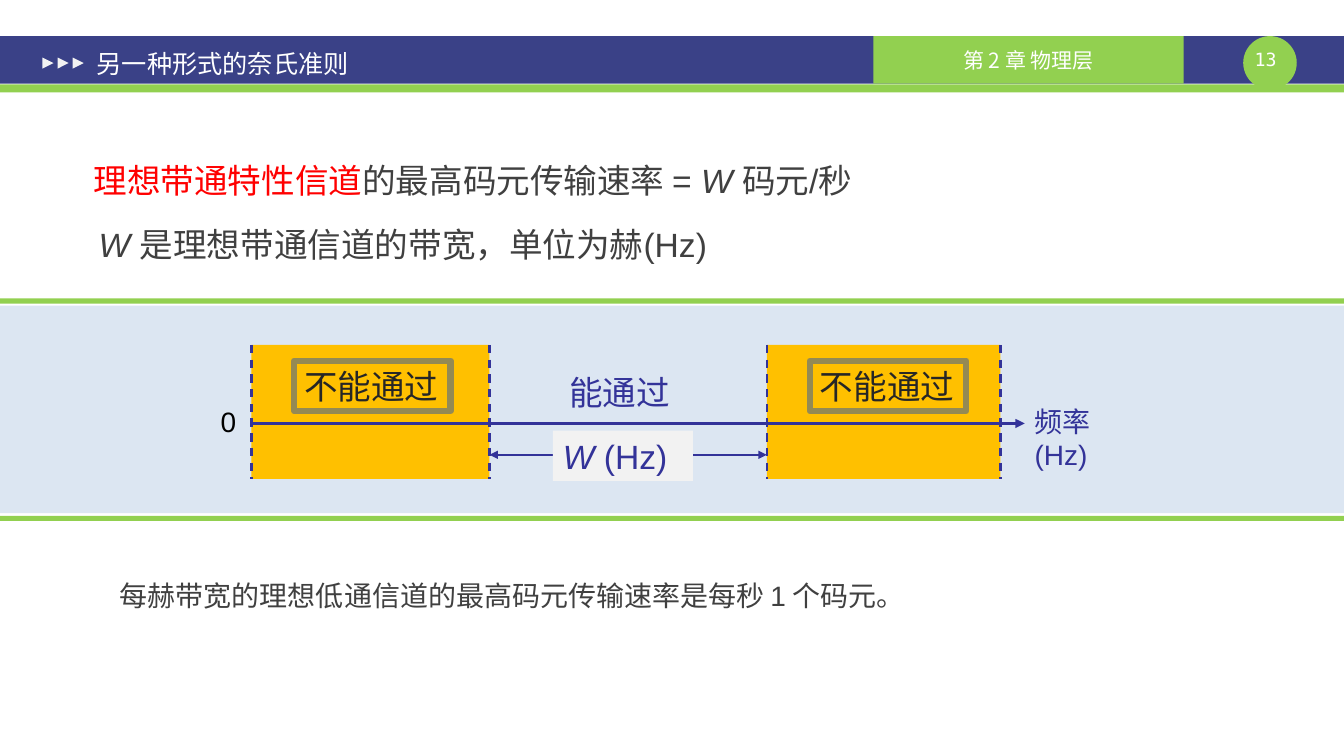
from dataclasses import dataclass
from typing import Optional

from lxml.etree import SubElement
from pptx import Presentation
from pptx.dml.color import RGBColor
from pptx.enum.dml import MSO_LINE
from pptx.enum.shapes import MSO_CONNECTOR, MSO_SHAPE
from pptx.enum.text import MSO_ANCHOR, MSO_AUTO_SIZE, PP_ALIGN
from pptx.oxml.ns import qn
from pptx.util import Cm, Pt

INDIGO, GREEN, WHITE, PALE_GREY = "3A4187", "92D050", "FFFFFF", "F2F2F2"
PALE_BLUE, ORANGE, NAVY, OLIVE = "DCE6F2", "FFC000", "333399", "948A54"
DARK, NEAR_BLACK, BLACK, RED = "404040", "262626", "000000", "FF0000"
EAST_ASIAN_FONT = "Noto Sans CJK SC"
SLIDE_WIDTH, SLIDE_HEIGHT = 33.88, 19.05


@dataclass
class Run:
    text: str
    color: str
    size: float = 24
    italic: bool = False
    font: str = "Arial"


@dataclass
class Box:
    """Lengths are in centimetres."""
    left: float
    top: float
    width: float
    height: float
    fill: Optional[str] = None
    outline: Optional[str] = None
    preset: MSO_SHAPE = MSO_SHAPE.RECTANGLE
    rotation: float = 0
    runs: tuple[Run, ...] = ()
    wrap: bool = False
    grow: bool = True
    anchor: MSO_ANCHOR = MSO_ANCHOR.TOP
    align: PP_ALIGN = PP_ALIGN.LEFT
    inset: tuple[float, float] = (0.25, 0.13)
    line_spacing: float = 1.0


@dataclass
class Line:
    start: tuple[float, float]
    end: tuple[float, float]
    weight: float = 1.5
    dashed: bool = False
    arrows: tuple[str, ...] = ()


def rgb(color: str) -> RGBColor:
    return RGBColor.from_string(color)


def set_attributes(target, values: dict) -> None:
    for name, value in values.items():
        setattr(target, name, value)


def write_text(frame, box: Box) -> None:
    across, down = map(Cm, box.inset)
    set_attributes(frame, {
        "word_wrap": box.wrap,
        "auto_size": MSO_AUTO_SIZE.SHAPE_TO_FIT_TEXT if box.grow else MSO_AUTO_SIZE.NONE,
        "vertical_anchor": box.anchor,
        "margin_left": across, "margin_right": across,
        "margin_top": down, "margin_bottom": down,
    })
    paragraph = frame.paragraphs[0]
    set_attributes(paragraph, {"alignment": box.align, "line_spacing": box.line_spacing})
    for part in box.runs:
        run = paragraph.add_run()
        run.text = part.text
        set_attributes(run.font, {"name": part.font, "size": Pt(part.size), "italic": part.italic})
        run.font.color.rgb = rgb(part.color)
        SubElement(run.font._element, qn("a:ea"), typeface=EAST_ASIAN_FONT)


def draw_box(slide, box: Box) -> None:
    frame = [Cm(length) for length in (box.left, box.top, box.width, box.height)]
    if box.fill or box.outline:
        shape = slide.shapes.add_shape(box.preset, *frame)
        set_attributes(shape, {"rotation": box.rotation})
        shape.shadow.inherit = False
        if box.fill:
            shape.fill.solid()
            shape.fill.fore_color.rgb = rgb(box.fill)
        else:
            shape.fill.background()
        if box.outline:
            shape.line.color.rgb = rgb(box.outline)
            shape.line.width = Pt(4.5)
        else:
            shape.line.fill.background()
    else:
        shape = slide.shapes.add_textbox(*frame)
    if box.runs:
        write_text(shape.text_frame, box)


def draw_line(slide, line: Line) -> None:
    connector = slide.shapes.add_connector(
        MSO_CONNECTOR.STRAIGHT, *map(Cm, line.start + line.end))
    SubElement(connector._element.spPr, qn("a:effectLst"))
    connector.line.color.rgb = rgb(NAVY)
    connector.line.width = Pt(line.weight)
    if line.dashed:
        connector.line.dash_style = MSO_LINE.DASH
    for end in line.arrows:
        SubElement(connector.line._get_or_add_ln(), qn(f"a:{end}"), type="triangle")


HEADER_TOP, HEADER_HEIGHT = 0.91, 1.2
HEADER = [
    Box(0, HEADER_TOP, SLIDE_WIDTH, HEADER_HEIGHT, INDIGO),
    Box(0, 2.13, SLIDE_WIDTH, 0.2, GREEN),
    Box(31.34, HEADER_TOP, 1.35, 1.35, GREEN, preset=MSO_SHAPE.OVAL),
    Box(31.23, 1.22, 1.35, 0.56, runs=(Run("13", WHITE, 13, font="DejaVu Sans Mono"),),
        wrap=True, align=PP_ALIGN.CENTER, inset=(0, 0)),
    Box(22.02, HEADER_TOP, 7.82, HEADER_HEIGHT, GREEN,
        runs=(Run("第 2 章 物理层", WHITE, 15, font=EAST_ASIAN_FONT),),
        wrap=True, grow=False, anchor=MSO_ANCHOR.MIDDLE, align=PP_ALIGN.CENTER, inset=(0.2, 0.1)),
    *(Box(1.07 + 0.38 * i, 1.45, 0.28, 0.28, PALE_GREY,
          preset=MSO_SHAPE.ISOSCELES_TRIANGLE, rotation=90) for i in range(3)),
    Box(2.16, 0.99, 14.81, HEADER_HEIGHT, runs=(Run("另一种形式的奈氏准则", WHITE, 18),),
        wrap=True, grow=False, anchor=MSO_ANCHOR.MIDDLE, inset=(0.28, 0.15)),
]

STATEMENTS = [
    Box(2.11, 3.91, 20.5, 1.27, runs=(
        Run("理想带通特性信道", RED), Run("的最高码元传输速率 = ", DARK),
        Run("W ", DARK, italic=True), Run("码元/秒", DARK))),
    Box(2.24, 5.51, 16.36, 1.27, runs=(
        Run("W ", DARK, italic=True), Run("是理想带通信道的带宽，单位为赫(Hz)", DARK))),
    Box(2.69, 14.22, 21.59, 1.9, runs=(
        Run("每赫带宽的理想低通信道的最高码元传输速率是每秒", DARK, 20), Run(" ", DARK, 18),
        Run("1", DARK, 20), Run(" ", DARK, 16), Run("个码元。", DARK, 20)),
        wrap=True, grow=False, inset=(0.33, 0.18), line_spacing=1.2),
]

BAND = [
    Box(-0.05, 7.7, 33.93, 5.23, PALE_BLUE),
    *(Box(-0.05, top, 33.93, 0.13, GREEN) for top in (7.52, 13.0)),
]

STOP_TOP, STOP_BOTTOM = 8.69, 12.07
BAND_EDGES = (6.34, 12.34, 19.33, 25.22)
STOP_BANDS = [
    Box(left, STOP_TOP, right - left, STOP_BOTTOM - STOP_TOP, ORANGE)
    for left, right in (BAND_EDGES[:2], BAND_EDGES[2:])
]
LINES = [
    Line((6.32, 10.67), (25.83, 10.67), 2.25, arrows=("tailEnd",)),
    Line((BAND_EDGES[1], 11.46), (BAND_EDGES[2], 11.46), arrows=("headEnd", "tailEnd")),
    *(Line((x, STOP_TOP), (x, STOP_BOTTOM), dashed=True) for x in BAND_EDGES),
]
LABELS = [
    *(Box(left, 9.09, 3.94, 1.27, outline=OLIVE, runs=(Run("不能通过", NEAR_BLACK),))
      for left in (7.42, 20.42)),
    Box(14.1, 9.25, 3.07, 1.27, runs=(Run("能通过", NAVY),)),
    Box(5.31, 10.06, 0.94, 1.12, runs=(Run("0", BLACK, 20),)),
    Box(25.83, 10.06, 3.05, 1.12, runs=(Run("频率(Hz)", NAVY, 20),), wrap=True),
    Box(13.94, 10.85, 3.53, 1.27, PALE_GREY,
        runs=(Run("W ", NAVY, italic=True), Run("(Hz)", NAVY))),
]


def main() -> None:
    presentation = Presentation()
    set_attributes(presentation, {"slide_width": Cm(SLIDE_WIDTH), "slide_height": Cm(SLIDE_HEIGHT)})
    slide = presentation.slides.add_slide(presentation.slide_layouts[6])
    for box in HEADER + BAND + STOP_BANDS + STATEMENTS:
        draw_box(slide, box)
    for line in LINES:
        draw_line(slide, line)
    for label in LABELS:
        draw_box(slide, label)
    presentation.save("out.pptx")


if __name__ == "__main__":
    main()
